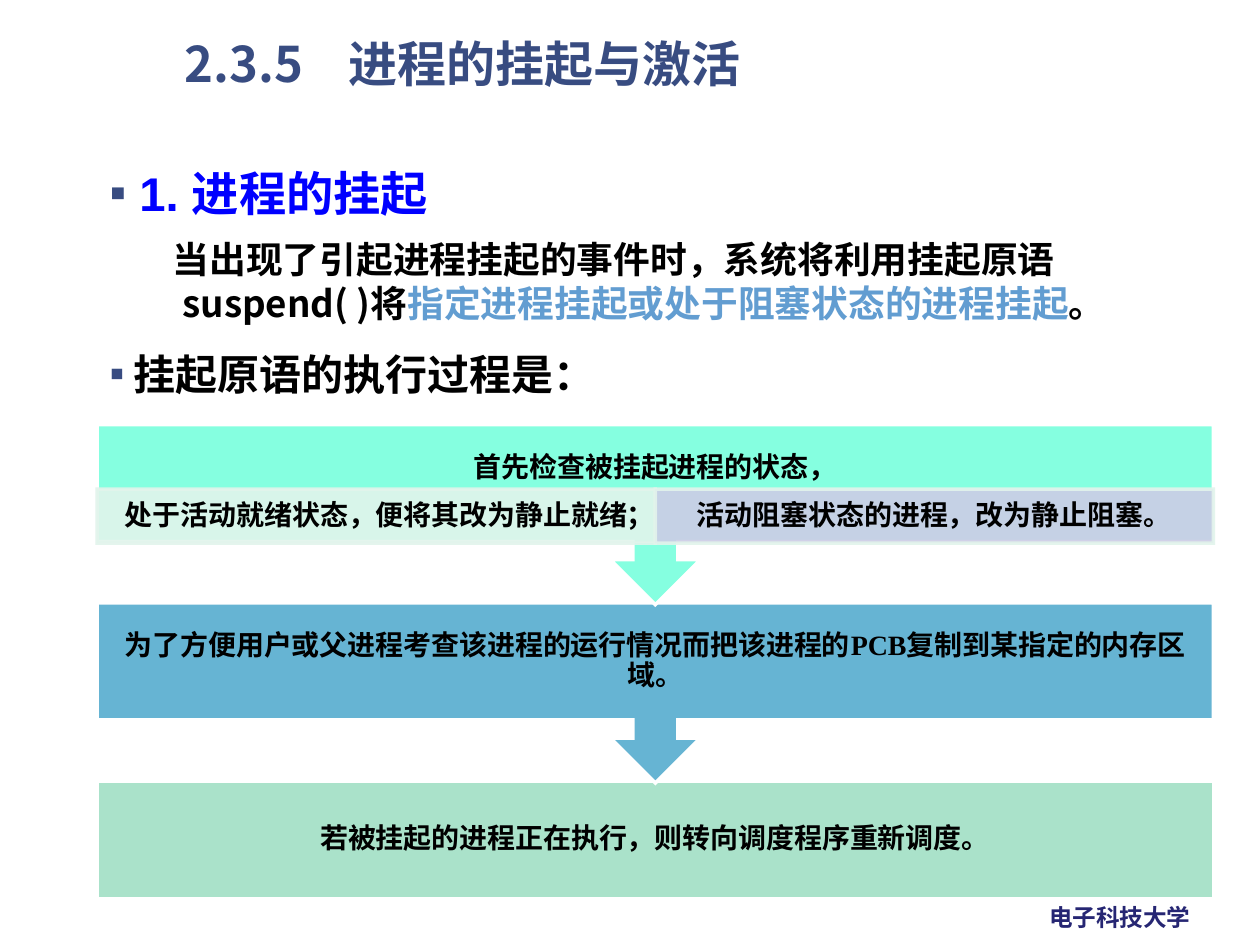
from lxml import etree
from pptx import Presentation
from pptx import util as u
from pptx.dml import color
from pptx.enum import shapes, text
from pptx.oxml import ns

NOTO = "Noto Sans CJK SC"
BASE = {"size": u.Pt(16), "bold": True, "name": "Times New Roman"}
STEP = {"alignment": text.PP_ALIGN.CENTER, "line_spacing": 0.9}


def rgb(tint):
    """Turn a hex string into a colour."""
    return color.RGBColor.from_string(tint)


def put(item, vals):
    """Set each attribute of item from a dict."""
    for key, val in vals.items():
        setattr(item, key, val)


def sub(node, tag, **atts):
    """Append a child element in the drawing namespace."""
    return etree.SubElement(node, ns.qn(tag), atts)


def run(par, words, tint="000000", **form):
    """Add a run with its Latin and East Asian fonts."""
    bit = par.add_run()
    bit.text = words
    put(bit.font, {**BASE, **form})
    bit.font.color.rgb = rgb(tint)
    sub(bit.font._element, "a:ea", typeface=NOTO)


def indent(par, left, first, mark=None):
    """Set a hanging indent and an optional square bullet."""
    prop = par._p.get_or_add_pPr()
    prop.set("marL", str(u.Cm(left)))
    prop.set("indent", str(u.Cm(first)))
    if mark:
        tint = sub(prop, "a:buClr")
        sub(tint, "a:srgbClr", val="384C81")
        sub(prop, "a:buFont", typeface="Arial")
        sub(prop, "a:buChar", char=mark)


def frame(page, box, wrap=True, **form):
    """Add a text box and return its text frame."""
    body = page.shapes.add_textbox(*map(u.Cm, box)).text_frame
    put(body, {"word_wrap": wrap, **form})
    return body


def label(page, box, words, pad=0.3):
    """Write centred step text in a box."""
    side = u.Cm(0.3)
    body = frame(page, box, vertical_anchor=text.MSO_ANCHOR.MIDDLE,
                 margin_left=side, margin_right=side,
                 margin_top=u.Cm(pad), margin_bottom=u.Cm(pad))
    par = body.paragraphs[0]
    put(par, STEP)
    run(par, words)


def block(page, kind, box, fill, line="FFFFFF", turn=0, clear=None):
    """Draw a filled shape, turned or see-through if asked."""
    shape = page.shapes.add_shape(kind, *map(u.Cm, box))
    shape.shadow.inherit = False
    shape.rotation = turn
    shape.fill.solid()
    shape.fill.fore_color.rgb = rgb(fill)
    shape.line.color.rgb = rgb(line)
    shape.line.width = u.Pt(2)
    sub(shape._element.spPr.find(ns.qn("a:ln")), "a:miter", lim="800000")
    if clear:
        for tint in shape._element.spPr.iter(ns.qn("a:srgbClr")):
            sub(tint, "a:alpha", val=str(clear * 1000))


def line(page, box, words, tint, size, wrap=True, stop=None):
    """Write a single line in the heading font."""
    par = frame(page, box, wrap).paragraphs[0]
    if stop:
        tabs = sub(par._p.get_or_add_pPr(), "a:tabLst")
        sub(tabs, "a:tab", pos=str(u.Cm(stop)), algn="l")
    run(par, words, tint, name=NOTO, size=u.Pt(size))


def points(page, box):
    """Write the bulleted points."""
    body = frame(page, box)
    head, note, tail = body.paragraphs[0], body.add_paragraph(), body.add_paragraph()
    for par, gap in ((head, 0), (note, 9), (tail, 13.5)):
        par.space_before = u.Pt(gap)
    head.alignment = text.PP_ALIGN.JUSTIFY
    indent(head, 0.6, -0.6, "▪")
    indent(note, 1.47, -0.2)
    indent(tail, 0.48, -0.48, "▪")
    run(head, "1. 进程的挂起", "0000FF", size=u.Pt(27), name="Arial")
    form = {"size": u.Pt(21), "name": NOTO}
    run(note, "当出现了引起进程挂起的事件时，系统将利用挂起原语suspend( )将", **form)
    run(note, "指定进程挂起或处于阻塞状态的进程挂起", "629DD1", **form)
    run(note, "。", **form)
    run(tail, "挂起原语的执行过程是：", size=u.Pt(24), name=NOTO)


def flow(page, box):
    """Draw the three steps downwards, the last one at the back."""
    left, top, wide, high = box
    tall = 2.36
    pitch = (high - tall) / 2
    rect, call = shapes.MSO_SHAPE.RECTANGLE, shapes.MSO_SHAPE.UP_ARROW_CALLOUT
    last = (left, top + 2 * pitch, wide, tall)
    block(page, rect, last, "AAE2CA")
    label(page, last, "若被挂起的进程正在执行，则转向调度程序重新调度。")
    steps = (
        (1, "66B4D3", 0, tall, "为了方便用户或父进程考查该进程的运行情况而把该进程的PCB复制到某指定的内存区域。"),
        (0, "85FFE0", 0.46, 0.84, "首先检查被挂起进程的状态，"),
    )
    for row, fill, drop, deep, words in steps:
        y = top + row * pitch
        block(page, call, (left, y, wide, 3.63), fill, turn=180)
        label(page, (left, y + drop, wide, deep), words)
    cells = (("E2F4EC", "处于活动就绪状态，便将其改为静止就绪；"),
             ("CDCDE6", "活动阻塞状态的进程，改为静止阻塞。"))
    half = wide / 2
    for col, (fill, words) in enumerate(cells):
        cell = (left + col * half, top + 1.3, half, 1.09)
        block(page, rect, cell, fill, "E2F4EC", clear=90)
        label(page, cell, words, 0.05)


def main():
    """Build the slide and save it."""
    deck = Presentation()
    put(deck, {"slide_width": u.Cm(25.4), "slide_height": u.Cm(19.05)})
    page = deck.slides.add_slide(deck.slide_layouts[6])
    line(page, (20.9, 18.08, 3.4, 0.84), "电子科技大学", "262673", 13.5, False)
    points(page, (1.96, 3.18, 22.43, 14.6))
    line(page, (3.48, 0.56, 17.07, 1.83), "2.3.5\t进程的挂起与激活", "384C81", 28, stop=3.3)
    flow(page, (1.96, 8.56, 22.5, 9.55))
    deck.save("out.pptx")


if __name__ == "__main__":
    main()
